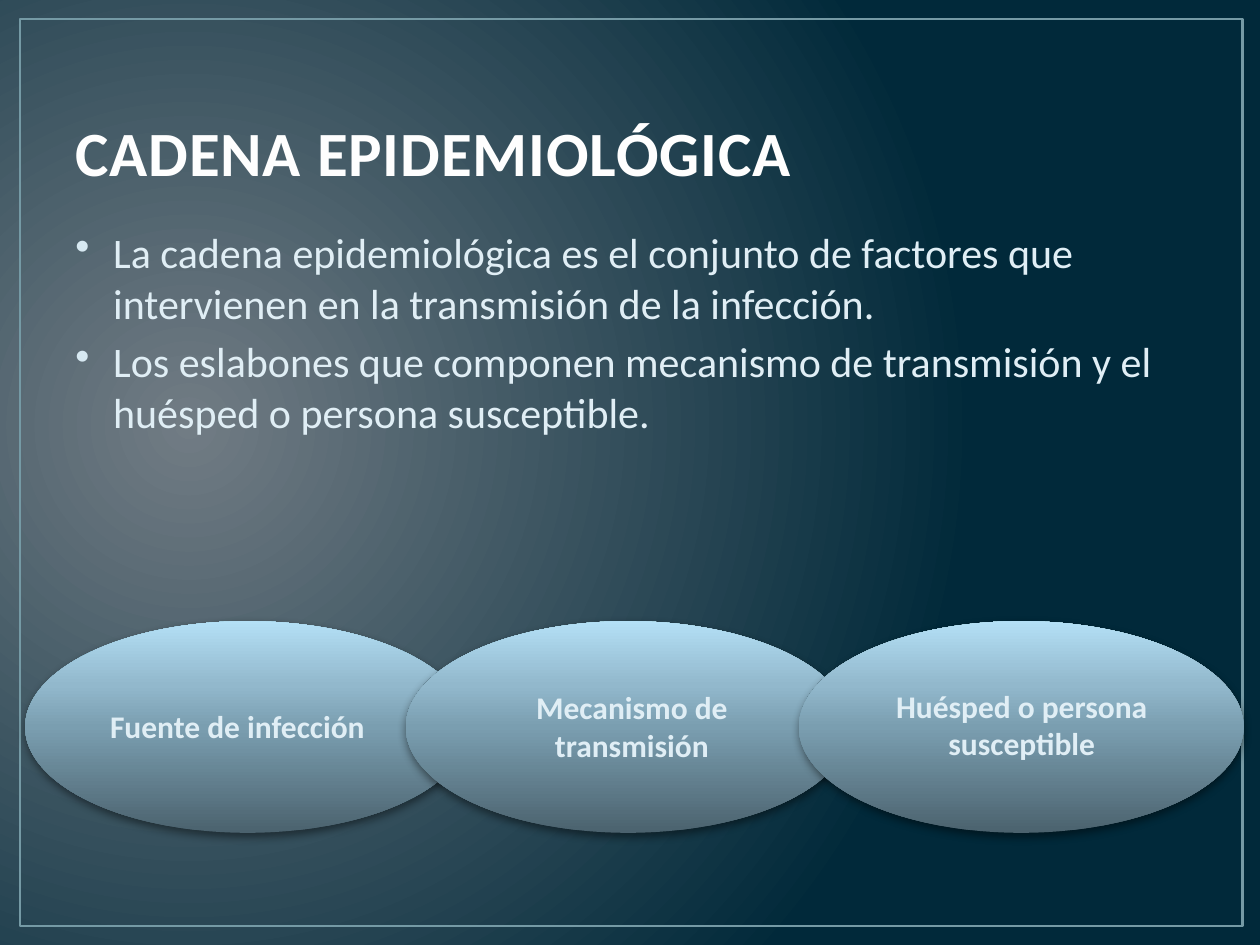
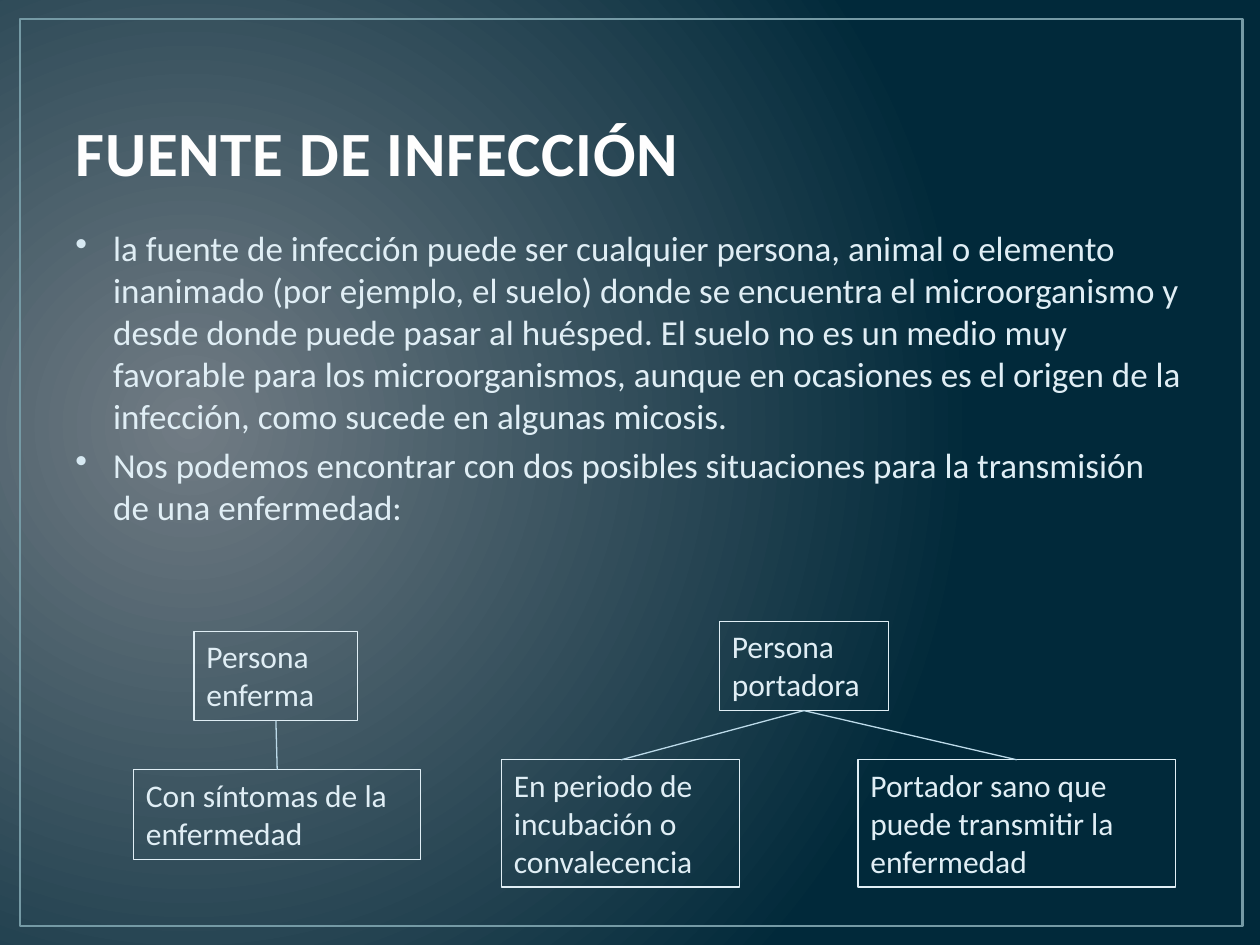
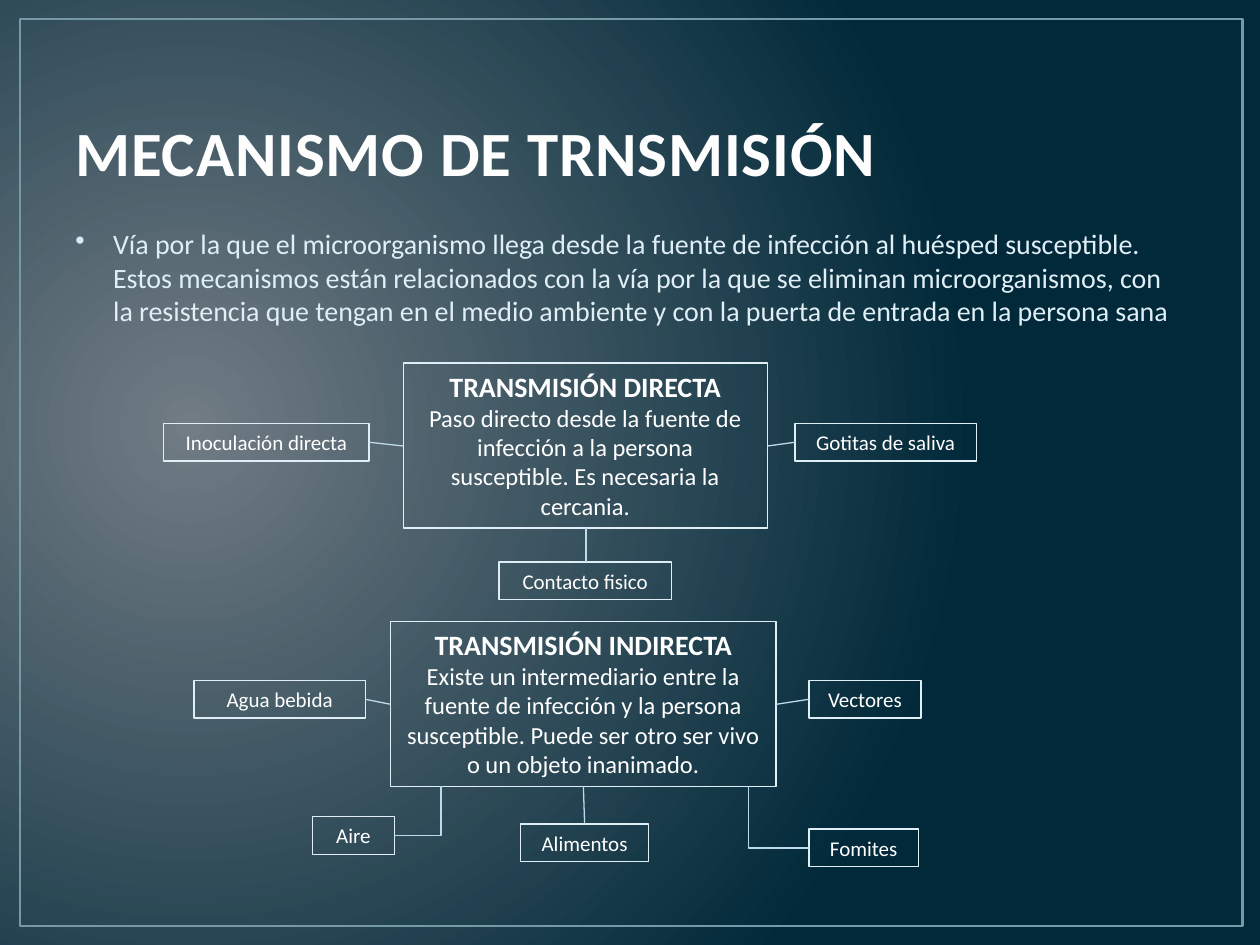
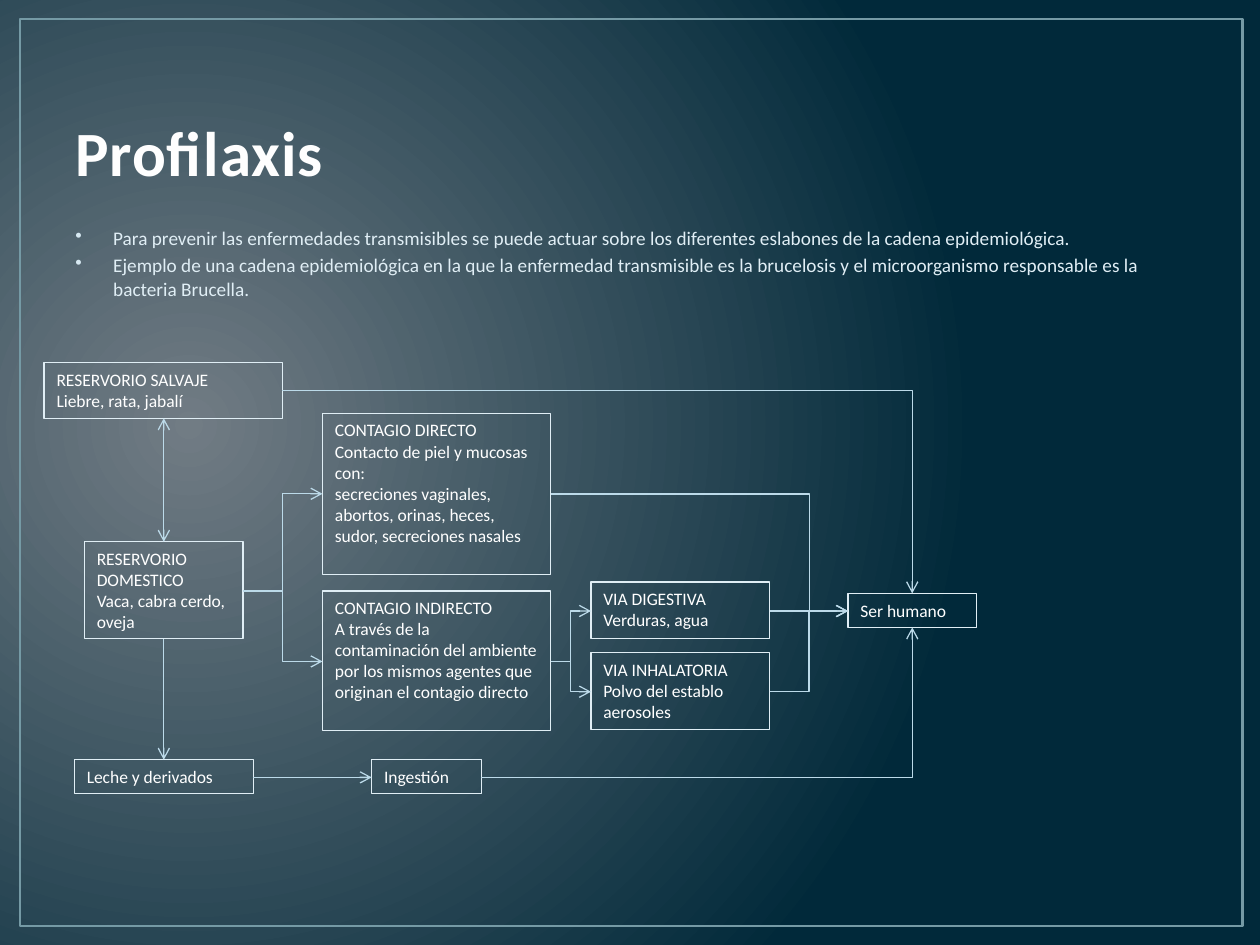
"""Build four slides on the epidemiological chain."""
from dataclasses import dataclass
from typing import Any

from lxml.etree import SubElement
from pptx import Presentation
from pptx.dml.color import RGBColor
from pptx.enum.shapes import MSO_CONNECTOR, MSO_SHAPE
from pptx.enum.text import MSO_ANCHOR, MSO_AUTO_SIZE, PP_ALIGN
from pptx.oxml.ns import qn
from pptx.util import Emu, Pt

PX = 9144
FONT = "Calibri"
WHITE, TITLE, TEXT, BULLET = "FFFFFF", "FEFEFE", "E0EEF5", "D7E9F2"
TITLE_OUTLINE, FRAME, LINK = "347B9E", "759AA5", "BCDAE9"
BACKGROUND_STOPS = ((0, "717C84"), (100, "01293A"))
ELLIPSE_STOPS = ((0, "4B626E"), (50, "7A9EB0"), (70, "92B8CC"), (100, "B4E0F6"))

Area = tuple[int, int, int, int]


@dataclass(frozen=True)
class TextStyle:
    """Look of one paragraph."""
    size: int
    color: str = TEXT
    bold: bool = False
    align: PP_ALIGN = PP_ALIGN.LEFT


@dataclass(frozen=True)
class Box:
    """Outlined or plain text block, with an optional style for its heading."""
    name: str
    area: Area
    lines: tuple[str, ...]
    style: TextStyle
    heading: TextStyle | None = None

    def side(self, side: str, shift: int = 0) -> tuple[int, int]:
        """Return the middle of a side, shifted along the horizontal."""
        left, top, width, height = self.area
        center, middle = left + (width + 1) // 2, top + (height + 1) // 2
        x, y = {"top": (center, top), "bottom": (center, top + height),
                "left": (left, middle), "right": (left + width, middle)}[side]
        return x + shift, y


@dataclass(frozen=True)
class Link:
    """Line between the sides of two named boxes."""
    start: str
    start_side: str
    end: str
    end_side: str
    route: str = "line"
    heads: tuple[str, ...] = ()
    bend: int = 50
    shift: int = 0


@dataclass(frozen=True)
class Page:
    """Content of one slide."""
    title: str
    bullets: tuple[str, ...]
    bullet_size: int
    boxes: tuple[Box, ...]
    links: tuple[Link, ...] = ()
    body_height: int = 495
    ellipses: tuple[Area, ...] = ()
    outlined: bool = True


LABEL = TextStyle(18, bold=True, align=PP_ALIGN.CENTER)
CASE = TextStyle(18)
ROUTE = TextStyle(12, WHITE, align=PP_ALIGN.CENTER)
ROUTE_HEADING = TextStyle(16, WHITE, True, PP_ALIGN.CENTER)
ROUTE_TEXT = TextStyle(14, WHITE, align=PP_ALIGN.CENTER)
STEP = TextStyle(10, WHITE)
TAIL, BOTH = ("tailEnd",), ("headEnd", "tailEnd")

PAGES = (
    Page(
        "CADENA EPIDEMIOLÓGICA",
        ("La cadena epidemiológica es el conjunto de factores que intervienen en la "
         "transmisión de la infección.",
         "Los eslabones que componen mecanismo de transmisión y el huésped o persona "
         "susceptible."),
        24,
        (Box("fuente", (35, 556, 307, 40), ("Fuente de infección",), LABEL),
         Box("mecanismo", (354, 541, 295, 71), ("Mecanismo de transmisión",), LABEL),
         Box("huésped", (673, 540, 276, 71), ("Huésped o persona susceptible",), LABEL)),
        ellipses=tuple((left, 493, 353, 168) for left in (20, 322, 634)),
        outlined=False,
    ),
    Page(
        "FUENTE DE INFECCIÓN",
        ("la fuente de infección puede ser cualquier persona, animal o elemento inanimado "
         "(por ejemplo, el suelo) donde se encuentra el microorganismo y desde donde puede "
         "pasar al huésped. El suelo no es un medio muy favorable para los microorganismos, "
         "aunque en ocasiones es el origen de la infección, como sucede en algunas micosis.",
         "Nos podemos encontrar con dos posibles situaciones para la transmisión de una "
         "enfermedad:"),
        20,
        (Box("enferma", (154, 501, 130, 71), ("Persona enferma",), CASE),
         Box("portadora", (571, 493, 134, 71), ("Persona portadora",), CASE),
         Box("incubación", (398, 603, 189, 101),
             ("En periodo de incubación o convalecencia",), CASE),
         Box("síntomas", (106, 611, 228, 71), ("Con síntomas de la enfermedad",), CASE),
         Box("sano", (681, 603, 252, 101),
             ("Portador sano que puede transmitir la enfermedad",), CASE)),
        (Link("enferma", "bottom", "síntomas", "top"),
         Link("portadora", "bottom", "incubación", "top"),
         Link("portadora", "bottom", "sano", "top")),
    ),
    Page(
        "MECANISMO DE TRNSMISIÓN",
        ("Vía por la que el microorganismo llega desde la fuente de infección al huésped "
         "susceptible. Estos mecanismos están relacionados con la vía por la que se eliminan "
         "microorganismos, con la resistencia que tengan en el medio ambiente y con la puerta "
         "de entrada en la persona sana",),
        16,
        (Box("inoculación", (130, 336, 163, 30), ("Inoculación directa",), ROUTE),
         Box("directa", (320, 288, 289, 131),
             ("TRANSMISIÓN DIRECTA",
              "Paso directo desde la fuente de infección a la persona susceptible. "
              "Es necesaria la cercania."), ROUTE_TEXT, ROUTE_HEADING),
         Box("gotitas", (631, 336, 144, 30), ("Gotitas de saliva",), ROUTE),
         Box("contacto", (396, 446, 137, 30), ("Contacto fisico",), ROUTE),
         Box("agua", (154, 540, 136, 30), ("Agua bebida",), ROUTE),
         Box("indirecta", (310, 493, 306, 131),
             ("TRANSMISIÓN INDIRECTA",
              "Existe un intermediario entre la fuente de infección y la persona susceptible. "
              "Puede ser otro ser vivo o un objeto inanimado."), ROUTE_TEXT, ROUTE_HEADING),
         Box("vectores", (642, 540, 89, 30), ("Vectores",), ROUTE),
         Box("alimentos", (413, 654, 102, 30), ("Alimentos",), ROUTE),
         Box("aire", (248, 648, 65, 30), ("Aire",), ROUTE),
         Box("fomites", (642, 658, 87, 30), ("Fomites",), ROUTE)),
        (Link("inoculación", "right", "directa", "left"),
         Link("gotitas", "left", "directa", "right"),
         Link("contacto", "top", "directa", "bottom"),
         Link("agua", "right", "indirecta", "left"),
         Link("vectores", "left", "indirecta", "right"),
         Link("alimentos", "top", "indirecta", "bottom"),
         Link("aire", "right", "indirecta", "bottom", "bentConnector2", shift=-113),
         Link("fomites", "left", "indirecta", "bottom", "bentConnector2", shift=131)),
    ),
    Page(
        "Profilaxis",
        ("Para prevenir las enfermedades transmisibles se puede actuar sobre los diferentes "
         "eslabones de la cadena epidemiológica.",
         "Ejemplo de una cadena epidemiológica en la que la enfermedad transmisible es la "
         "brucelosis y el microorganismo responsable es la bacteria Brucella."),
        11,
        (Box("salvaje", (35, 288, 189, 44),
             ("RESERVORIO SALVAJE", "Liebre, rata, jabalí"), STEP),
         Box("directo", (256, 328, 181, 128),
             ("CONTAGIO DIRECTO", "Contacto de piel y mucosas con:",
              "secreciones vaginales, abortos, orinas, heces, sudor, secreciones nasales"),
             STEP),
         Box("ingestión", (295, 603, 87, 27), ("Ingestión",), STEP),
         Box("digestiva", (469, 462, 142, 45), ("VIA DIGESTIVA", "Verduras, agua"), STEP),
         Box("inhalatoria", (469, 518, 142, 61),
             ("VIA INHALATORIA", "Polvo del establo", "aerosoles"), STEP),
         Box("humano", (673, 471, 102, 27), ("Ser humano",), STEP),
         Box("doméstico", (67, 430, 126, 77),
             ("RESERVORIO DOMESTICO", "Vaca, cabra cerdo, oveja"), STEP),
         Box("leche", (59, 603, 142, 27), ("Leche y derivados",), STEP),
         Box("indirecto", (256, 469, 181, 111),
             ("CONTAGIO INDIRECTO",
              "A través de la contaminación del ambiente por los mismos agentes que originan "
              "el contagio directo"), STEP)),
        (Link("doméstico", "bottom", "leche", "top", heads=TAIL),
         Link("salvaje", "bottom", "doméstico", "top", heads=BOTH),
         Link("doméstico", "right", "directo", "left", "bentConnector3", TAIL),
         Link("doméstico", "right", "indirecto", "left", "bentConnector3", TAIL),
         Link("indirecto", "right", "digestiva", "left", "bentConnector3", TAIL),
         Link("indirecto", "right", "inhalatoria", "left", "bentConnector3", TAIL),
         Link("digestiva", "right", "humano", "left", "bentConnector3", TAIL),
         Link("inhalatoria", "right", "humano", "left", "bentConnector3", TAIL),
         Link("salvaje", "right", "humano", "top", "bentConnector2", TAIL),
         Link("directo", "right", "humano", "left", "bentConnector3", TAIL, bend=87),
         Link("leche", "right", "ingestión", "left", heads=TAIL),
         Link("ingestión", "right", "humano", "bottom", "bentConnector2", TAIL)),
        body_height=98,
    ),
)


def px(*lengths: int) -> list[Emu]:
    """Turn px lengths into EMU."""
    return [Emu(length * PX) for length in lengths]


def rgb(color: str) -> RGBColor:
    """Turn a hex string into a colour."""
    return RGBColor.from_string(color)


def apply(target: Any, values: dict[str, Any]) -> None:
    """Set each attribute named in the values."""
    for name, value in values.items():
        setattr(target, name, value)


def add_node(parent: Any, tag: str, **attributes: Any) -> Any:
    """Append a DrawingML element."""
    return SubElement(parent, qn(f"a:{tag}"),
                      {name: str(value) for name, value in attributes.items()})


def set_gradient(owner: Any, fill: Any, stops: tuple) -> Any:
    """Give the fill its colour stops and return it, ready for a direction."""
    fill.gradient()
    gradient = next(owner.element.iter(qn("a:gradFill")))
    gradient.clear()
    gradient.set("rotWithShape", "1")
    stop_list = add_node(gradient, "gsLst")
    for position, color in stops:
        stop = add_node(stop_list, "gs", pos=position * 1000)
        add_node(stop, "srgbClr", val=color)
    return gradient


def set_background(master: Any) -> None:
    """Give every slide the radial background."""
    gradient = set_gradient(master, master.background.fill, BACKGROUND_STOPS)
    radial = add_node(gradient, "path", path="circle")
    add_node(radial, "fillToRect", l=15000, t=50000, r=85000, b=60000)


def set_line(shape: Any, color: str, width: float) -> None:
    """Colour and size a line."""
    shape.line.color.rgb = rgb(color)
    shape.line.width = Pt(width)


def add_outline(slide: Any, area: Area, color: str, width: float) -> Any:
    """Add an unfilled rectangle."""
    shape = slide.shapes.add_shape(MSO_SHAPE.RECTANGLE, *px(*area))
    shape.shadow.inherit = False
    shape.fill.background()
    set_line(shape, color, width)
    return shape


def add_ellipse(slide: Any, area: Area) -> None:
    """Add a shaded link of the chain."""
    shape = slide.shapes.add_shape(MSO_SHAPE.OVAL, *px(*area))
    gradient = set_gradient(shape, shape.fill, ELLIPSE_STOPS)
    add_node(gradient, "lin", ang=270 * 60000, scaled=0)
    shape.line.fill.background()
    shape.shadow.inherit = False
    effects = next(shape.element.iter(qn("a:effectLst")))
    shadow = add_node(effects, "outerShdw", blurRad=Pt(5), dist=Pt(2),
                      dir=90 * 60000, rotWithShape=0)
    add_node(add_node(shadow, "srgbClr", val="000000"), "alpha", val=43000)


def write(shape: Any, lines: tuple[str, ...], style: TextStyle,
          heading: TextStyle | None = None, anchor: MSO_ANCHOR = MSO_ANCHOR.TOP) -> list[Any]:
    """Write one paragraph a line and return the paragraphs."""
    frame = shape.text_frame
    apply(frame, {"word_wrap": True, "auto_size": MSO_AUTO_SIZE.NONE,
                  "vertical_anchor": anchor})
    for index, line in enumerate(lines):
        paragraph = frame.add_paragraph() if index else frame.paragraphs[0]
        look = heading if heading and not index else style
        run = paragraph.add_run()
        run.text = line
        paragraph.alignment = look.align
        apply(run.font, {"name": FONT, "size": Pt(look.size), "bold": look.bold})
        run.font.color.rgb = rgb(look.color)
    return list(frame.paragraphs)


def add_title(slide: Any, title: str) -> None:
    """Add the outlined slide title."""
    shape = slide.shapes.add_textbox(*px(50, 30, 900, 125))
    paragraph, = write(shape, (title,), TextStyle(36, TITLE, True), anchor=MSO_ANCHOR.BOTTOM)
    properties = next(paragraph.runs[0].font._element.iter(qn("a:rPr"))) \
        if hasattr(paragraph.runs[0].font, "_element") \
        else next(shape.element.iter(qn("a:rPr")))
    properties.set("spc", "50")
    outline = add_node(properties, "ln", w=Pt(1.05))
    add_node(add_node(outline, "solidFill"), "srgbClr", val=TITLE_OUTLINE)
    properties.insert(0, outline)


def add_body(slide: Any, page: Page) -> None:
    """Add the bulleted text."""
    shape = slide.shapes.add_textbox(*px(50, 175, 900, page.body_height))
    write(shape, page.bullets, TextStyle(page.bullet_size))
    for properties in shape.element.iter(qn("a:pPr")):
        indent, = px(30)
        apply_indent = {"marL": indent, "indent": -indent}
        for name, value in apply_indent.items():
            properties.set(name, str(value))
        add_node(add_node(properties, "spcBef"), "spcPct", val=20000)
        add_node(add_node(properties, "buClr"), "srgbClr", val=BULLET)
        add_node(properties, "buChar", char="•")


def add_box(slide: Any, box: Box, outlined: bool) -> None:
    """Add a text block, with or without an outline."""
    shape = (add_outline(slide, box.area, TEXT, 0.75) if outlined
             else slide.shapes.add_textbox(*px(*box.area)))
    write(shape, box.lines, box.style, box.heading)


def add_link(slide: Any, link: Link, boxes: dict[str, Box]) -> None:
    """Add a straight or bent line between two boxes."""
    start = boxes[link.start].side(link.start_side)
    end = boxes[link.end].side(link.end_side, link.shift)
    kind = MSO_CONNECTOR.STRAIGHT if link.route == "line" else MSO_CONNECTOR.ELBOW
    connector = slide.shapes.add_connector(kind, *px(*start, *end))
    set_line(connector, LINK, 0.75)
    geometry = next(connector.element.iter(qn("a:prstGeom")))
    geometry.set("prst", link.route)
    if link.route == "bentConnector3":
        guides = geometry.find(qn("a:avLst"))
        add_node(guides, "gd", name="adj1", fmla=f"val {link.bend * 1000}")
    line = next(connector.element.iter(qn("a:ln")))
    for head in link.heads:
        add_node(line, head, type="arrow")
    add_node(line.getparent(), "effectLst")


def add_page(presentation: Any, page: Page) -> None:
    """Add one slide."""
    slide = presentation.slides.add_slide(presentation.slide_layouts[6])
    add_outline(slide, (16, 15, 970, 720), FRAME, 1.5)
    for area in page.ellipses:
        add_ellipse(slide, area)
    add_title(slide, page.title)
    add_body(slide, page)
    for box in page.boxes:
        add_box(slide, box, page.outlined)
    boxes = {box.name: box for box in page.boxes}
    for link in page.links:
        add_link(slide, link, boxes)


def main() -> None:
    """Build and save the presentation."""
    presentation = Presentation()
    presentation.slide_width, presentation.slide_height = px(1000, 750)
    set_background(presentation.slide_master)
    for page in PAGES:
        add_page(presentation, page)
    presentation.save("out.pptx")


if __name__ == "__main__":
    main()
